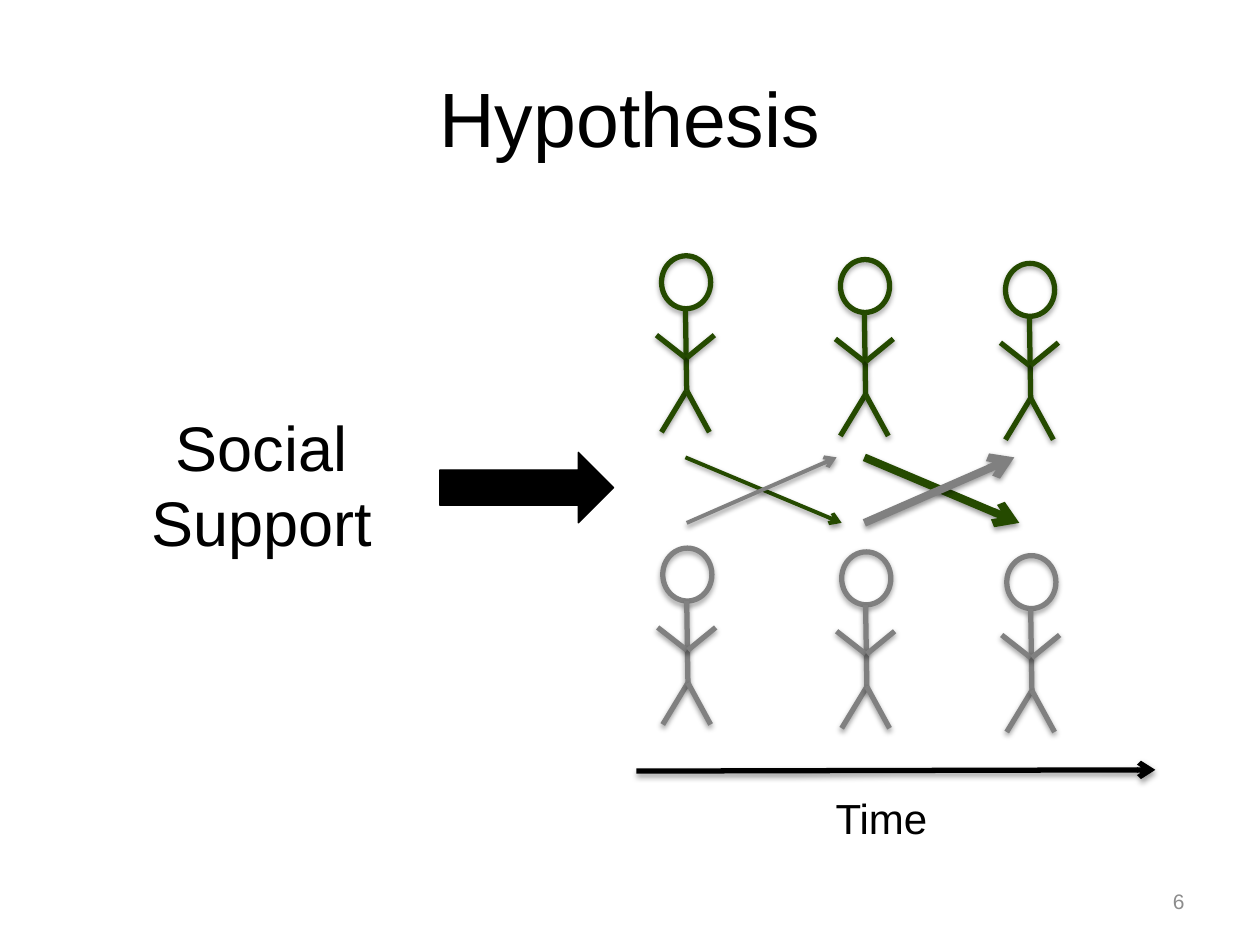
from typing import NamedTuple

from lxml import etree
from pptx import Presentation
from pptx.dml.color import RGBColor
from pptx.enum.shapes import MSO_CONNECTOR, MSO_SHAPE
from pptx.enum.text import MSO_ANCHOR, PP_ALIGN
from pptx.oxml.ns import qn
from pptx.util import Inches, Pt

LINE, OVAL, ARROW = MSO_CONNECTOR.STRAIGHT, MSO_SHAPE.OVAL, MSO_SHAPE.RIGHT_ARROW
MIDDLE, TOP = MSO_ANCHOR.MIDDLE, MSO_ANCHOR.TOP
CENTER, RIGHT = PP_ALIGN.CENTER, PP_ALIGN.RIGHT
FONT = "Arial"
BLACK = RGBColor(0, 0, 0)
GREEN = RGBColor(0x25, 0x4A, 0x00)
GRAY = RGBColor(0x80, 0x80, 0x80)
PALE = RGBColor(0x8C, 0x8C, 0x8C)


class Stroke(NamedTuple):
    x1: float
    y1: float
    x2: float
    y2: float
    color: RGBColor
    width: float
    tip: bool = True


class Label(NamedTuple):
    text: str
    box: tuple[float, float, float, float]
    size: float
    color: RGBColor = BLACK
    align: int = CENTER
    anchor: int = TOP


class Person(NamedTuple):
    x: float
    y: float
    color: RGBColor


# Limbs as offsets from the head's top left corner
LIMBS = (
    (0.19, 0.42, 0.2, 1.07),
    (0.2, 1.07, 0, 1.4),
    (0.2, 1.07, 0.38, 1.4),
    (-0.04, 0.63, 0.19, 0.81),
    (0.2, 0.81, 0.42, 0.63),
)
COLS = ((5.25, 0), (6.67, 0.03), (7.98, 0.06))
ROWS = ((0.01, 4.35, GRAY), (0, 2.03, GREEN))
PEOPLE = [Person(x + dx, y + dy, color)
          for x, dy in COLS for dx, y, color in ROWS]

LABELS = (
    Label("6", (7.17, 6.95, 2.33, 0.4), 12, PALE, RIGHT, MIDDLE),
    Label("Social Support", (0.66, 3.19, 2.83, 1.31), 36),
    Label("Time", (6.05, 6.24, 1.89, 0.5), 24),
)
AXIS = Stroke(5.05, 6.12, 9.17, 6.11, BLACK, 3)
CROSS = (
    Stroke(5.44, 3.63, 6.68, 4.15, GREEN, 2.25),
    Stroke(5.45, 4.15, 6.64, 3.63, GRAY, 2.25),
    Stroke(6.86, 3.63, 8.09, 4.15, GREEN, 4.5),
    Stroke(6.86, 4.15, 8.05, 3.63, GRAY, 4.5),
)


def add_shade(shape, dist: float, alpha: int) -> None:
    """Give a shape a soft black shadow straight below it."""
    effects = etree.SubElement(shape.element.spPr, qn("a:effectLst"))
    shade = etree.SubElement(effects, qn("a:outerShdw"), blurRad=str(Pt(3.1)),
                             dist=str(Pt(dist)), dir="5400000", rotWithShape="0")
    color = etree.SubElement(shade, qn("a:srgbClr"), val=str(BLACK))
    etree.SubElement(color, qn("a:alpha"), val=str(alpha * 1000))


def add_stroke(shapes, item: Stroke) -> None:
    ends = [Inches(n) for n in item[:4]]
    line = shapes.add_connector(LINE, *ends)
    line.line.color.rgb = item.color
    line.line.width = Pt(item.width)
    if item.tip:
        etree.SubElement(line.element.spPr.find(qn("a:ln")), qn("a:tailEnd"), type="arrow")
    add_shade(line, 1.6, 38)


def add_person(shapes, who: Person) -> None:
    head = shapes.add_shape(OVAL, Inches(who.x), Inches(who.y), Inches(0.39), Inches(0.42))
    head.fill.background()
    head.line.color.rgb = who.color
    head.line.width = Pt(3)
    add_shade(head, 1.8, 35)
    for x1, y1, x2, y2 in LIMBS:
        add_stroke(shapes, Stroke(who.x + x1, who.y + y1, who.x + x2, who.y + y2,
                                  who.color, 3, False))


def set_text(shape, item: Label) -> None:
    shape.left, shape.top, shape.width, shape.height = map(Inches, item.box)
    frame = shape.text_frame
    frame.word_wrap = True
    frame.vertical_anchor = item.anchor
    para = frame.paragraphs[0]
    para.alignment = item.align
    run = para.add_run()
    run.text = item.text
    run.font.name = FONT
    run.font.size = Pt(item.size)
    run.font.color.rgb = item.color


def main() -> None:
    deck = Presentation()
    deck.slide_width, deck.slide_height = Inches(10), Inches(7.5)
    shapes = deck.slides.add_slide(deck.slide_layouts[5]).shapes

    # Title and labels
    set_text(shapes.title, Label("Hypothesis", (0.5, 0.3, 9, 1.25), 44, anchor=MIDDLE))
    for item in LABELS:
        set_text(shapes.add_textbox(0, 0, 0, 0), item)

    # Block arrow from support to the people
    arrow = shapes.add_shape(ARROW, Inches(3.49), Inches(3.59), Inches(1.38), Inches(0.56))
    arrow.shadow.inherit = False
    arrow.fill.solid()
    arrow.fill.fore_color.rgb = BLACK
    arrow.line.color.rgb = BLACK
    arrow.line.width = Pt(0.75)

    # Time axis, people and crossing arrows
    add_stroke(shapes, AXIS)
    for who in PEOPLE:
        add_person(shapes, who)
    for item in CROSS:
        add_stroke(shapes, item)

    deck.save("out.pptx")


if __name__ == "__main__":
    main()
